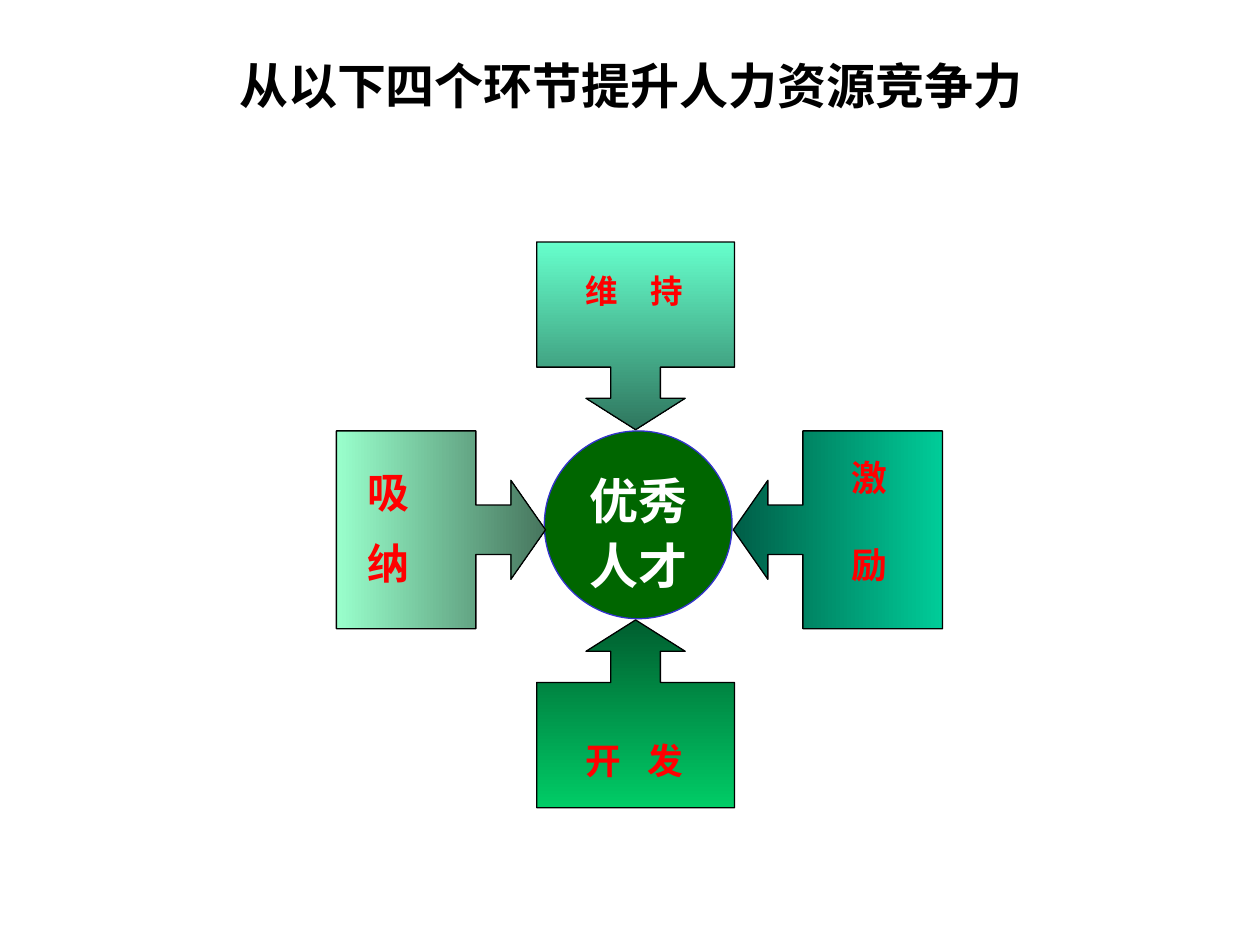
from pptx import Presentation
from pptx.dml.color import RGBColor
from pptx.enum.shapes import MSO_SHAPE
from pptx.enum.text import MSO_ANCHOR, MSO_AUTO_SIZE, PP_ALIGN
from pptx.util import Inches, Pt

LEFT, CENTER = PP_ALIGN.LEFT, PP_ALIGN.CENTER
FONT = "Times New Roman"
RED, WHITE, BLACK = "FF0000", "FFFFFF", "000000"

TITLE = "从以下四个环节提升人力资源竞争力"
HUB = ["优秀", "人才"]
WIDE = dict(size=(1.57, 1.49), label_size=(1.25, 0.67), align=CENTER,
            adjust=(0.264, 0.264, 0.167, 0.667), angle=270)
TALL = dict(size=(1.66, 1.57), label_size=(0.67, 1.17), align=LEFT,
            adjust=(0.25, 0.25, 0.175, 0.667), angle=0)
STAGES = [
    dict(TALL, lines=["吸", "纳"], arrow=MSO_SHAPE.RIGHT_ARROW_CALLOUT, cell=(0, 1),
         offset=(0.15, 0.15), colors=("99FFCC", "47765E"), points=24, spacing=1.2, before=6),
    dict(WIDE, lines=["维 持"], arrow=MSO_SHAPE.DOWN_ARROW_CALLOUT, cell=(1, 0),
         offset=(0.15, 0.15), colors=("66FFCC", "2F765E"), points=18.6, spacing=1.1, gap=14),
    dict(TALL, lines=["激", "励"], arrow=MSO_SHAPE.LEFT_ARROW_CALLOUT, cell=(2, 1),
         offset=(0.84, 0.15), colors=("005E47", "00CC99"), points=20.4, spacing=1, before=25),
    dict(WIDE, lines=["开 发"], arrow=MSO_SHAPE.UP_ARROW_CALLOUT, cell=(1, 2),
         offset=(0.15, 0.83), colors=("005E2F", "00CC66"), points=20.4, spacing=1.2, gap=10.2),
]

COLUMNS = (2.67, 4.26, 5.82)
ROWS = [1.92 + 1.5 * row for row in range(3)]
HUB_SIZE = 1.49


def rgb(color):
    return RGBColor.from_string(color)


def box(left, top, width, height):
    return [Inches(length) for length in (left, top, width, height)]


def write(shape, lines, points, color, align=LEFT, spacing=1, before=0, gap=0, wrap=True):
    frame = shape.text_frame
    frame.word_wrap = wrap
    frame.vertical_anchor = MSO_ANCHOR.TOP
    for index, line in enumerate(lines):
        paragraph = frame.add_paragraph() if index else frame.paragraphs[0]
        paragraph.alignment = align
        paragraph.line_spacing = float(spacing)
        if index:
            paragraph.space_before = Pt(before)
        for part in filter(None, line.partition(" ")):
            run = paragraph.add_run()
            run.text = part
            run.font.name = FONT
            run.font.size = Pt(points)
            run.font.bold = True
            run.font.color.rgb = rgb(color)
            if part == " ":
                run._r.get_or_add_rPr().set("spc", str(round(gap * 100)))


def outline(shape, color):
    shape.shadow.inherit = False
    shape.line.color.rgb = rgb(color)
    shape.line.width = Pt(0.75)


def add_hub(shapes):
    hub = shapes.add_shape(MSO_SHAPE.OVAL,
                           *box(COLUMNS[1] + 0.06, ROWS[1], HUB_SIZE, HUB_SIZE))
    outline(hub, "3333CC")
    hub.fill.solid()
    hub.fill.fore_color.rgb = rgb("006600")
    write(hub, HUB, 28, WHITE, CENTER, spacing=1.1)


def add_stage(shapes, stage):
    group = shapes.add_group_shape().shapes
    column, row = stage["cell"]
    left, top = COLUMNS[column], ROWS[row]
    callout = group.add_shape(stage["arrow"], *box(left, top, *stage["size"]))
    outline(callout, BLACK)
    for index, value in enumerate(stage["adjust"]):
        callout.adjustments[index] = value
    callout.fill.gradient()
    callout.fill.gradient_angle = stage["angle"]
    for position, (stop, color) in enumerate(zip(callout.fill.gradient_stops, stage["colors"])):
        stop.position = position
        stop.color.rgb = rgb(color)
    across, down = stage["offset"]
    label = group.add_textbox(*box(left + across, top + down, *stage["label_size"]))
    write(label, stage["lines"], stage["points"], RED, stage["align"],
          stage["spacing"], stage.get("before", 0), stage.get("gap", 0))


def main():
    deck = Presentation()
    deck.slide_width, deck.slide_height = Inches(10), Inches(7.5)
    shapes = deck.slides.add_slide(deck.slide_layouts[6]).shapes
    add_hub(shapes)
    for stage in STAGES:
        add_stage(shapes, stage)
    title = shapes.add_textbox(*box(1.8, 0.39, 6.41, 0.57))
    write(title, [TITLE], 28, BLACK, wrap=False)
    title.text_frame.auto_size = MSO_AUTO_SIZE.SHAPE_TO_FIT_TEXT
    deck.save("out.pptx")


if __name__ == "__main__":
    main()
